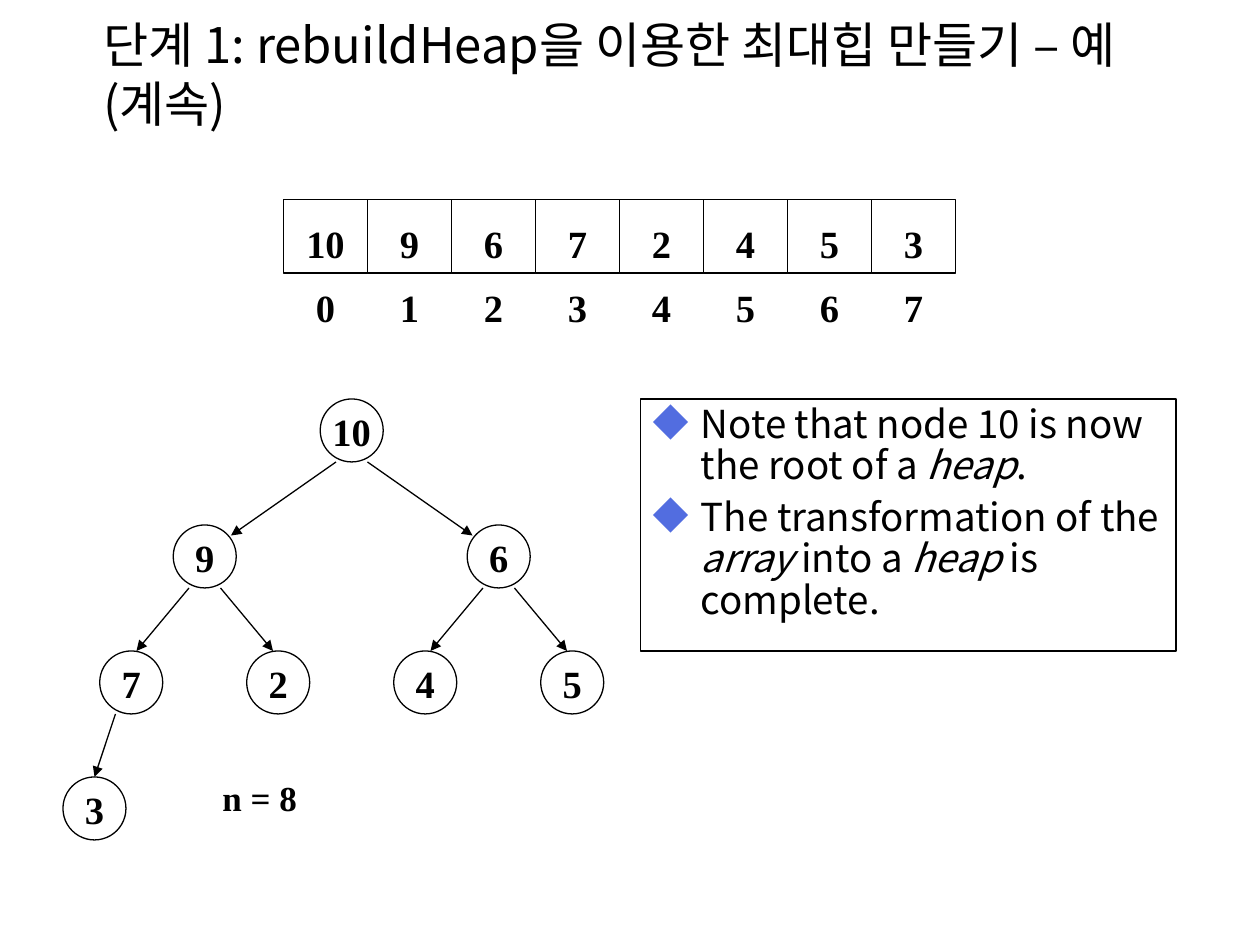
from lxml import etree
from pptx import Presentation
from pptx.dml.color import RGBColor
from pptx.enum.shapes import MSO_CONNECTOR, MSO_SHAPE
from pptx.enum.text import MSO_ANCHOR, PP_ALIGN
from pptx.oxml.ns import qn
from pptx.util import Inches, Pt

RECT, OVAL = MSO_SHAPE.RECTANGLE, MSO_SHAPE.OVAL
LINE = MSO_CONNECTOR.STRAIGHT
TOP, MID = MSO_ANCHOR.TOP, MSO_ANCHOR.MIDDLE
LEFT, MIDDLE = PP_ALIGN.LEFT, PP_ALIGN.CENTER

SANS, SERIF = "Noto Sans CJK KR", "Times New Roman"
INK, BLUE = "000000", "526DE0"
COLS, ROWS = 120, 90  # grid of twelve steps to the inch
HEAP = [10, 9, 6, 7, 2, 4, 5, 3]
NOTES = [
    [("Note that node 10 is now the root of a ", False), ("heap", True), (".", False)],
    [("The transformation of the ", False), ("array", True), (" into a ", False),
     ("heap", True), (" is complete.", False)],
]


def grid(n):
    return Inches(n / 12)


def color(code):
    return RGBColor.from_string(code)


def add_tag(node, name, **attrs):
    return etree.SubElement(node, qn(name), attrs)


def add_bullet(par):
    props = par._p.get_or_add_pPr()
    props.set("marL", str(Inches(0.38)))
    props.set("indent", str(-Inches(0.38)))
    add_tag(add_tag(props, "a:buClr"), "a:srgbClr", val=BLUE)
    add_tag(props, "a:buSzPct", val="120000")
    add_tag(props, "a:buChar", char="◆")


def put_text(shape, pars, size=22, font=SERIF, bold=True, align=MIDDLE,
             anchor=MID, space=1.1, gap=0, bullet=False, pad=(0.1, 0.05, 0.1, 0.05)):
    """Fill a shape with paragraphs, each a list of (words, italic) runs."""
    frame = shape.text_frame
    frame.word_wrap = True
    frame.vertical_anchor = anchor
    (frame.margin_left, frame.margin_top,
     frame.margin_right, frame.margin_bottom) = map(Inches, pad)
    if isinstance(pars, str):
        pars = [[(pars, False)]]
    for i, runs in enumerate(pars):
        par = frame.add_paragraph() if i else frame.paragraphs[0]
        if bullet:
            add_bullet(par)
        par.alignment = align
        par.line_spacing = space
        if i:
            par.space_before = Pt(gap)
        for words, slant in runs:
            run = par.add_run()
            run.text = words
            run.font.size = Pt(size)
            run.font.name = font
            run.font.bold = bold
            run.font.italic = slant
            run.font.color.rgb = color(INK)
            add_tag(run._r.get_or_add_rPr(), "a:ea", typeface=font)


def add_box(slide, box):
    return slide.shapes.add_textbox(*map(grid, box))


def add_frame(slide, kind, box):
    shape = slide.shapes.add_shape(kind, *map(grid, box))
    shape.shadow.inherit = False
    shape.fill.background()
    shape.line.color.rgb = color(INK)
    shape.line.width = Pt(0.75)
    return shape


def add_arrow(slide, *ends):
    arrow = slide.shapes.add_connector(LINE, *map(grid, ends))
    arrow.line.color.rgb = color(INK)
    arrow.line.width = Pt(0.75)
    add_tag(arrow.line._get_or_add_ln(), "a:tailEnd", type="triangle")
    add_tag(arrow._element.spPr, "a:effectLst")


def draw_title(slide, box):
    put_text(add_box(slide, box), "단계 1: rebuildHeap을 이용한 최대힙 만들기 – 예 (계속)",
             size=28, font=SANS, bold=False, align=LEFT, space=1)


def draw_array(slide, box):
    left, top, width, height = box
    step = width / len(HEAP)
    for i, value in enumerate(HEAP):
        x = left + i * step
        cell = add_frame(slide, RECT, (x, top, step, height))
        put_text(cell, str(value), pad=(0, 0.07, 0, 0))
        label = add_box(slide, (x, top + height, step, 6))
        put_text(label, str(i), anchor=TOP)


def draw_tree(slide, box):
    left, top, width, height = box
    size, rise = 6, height / 3.5  # the last row is half a step high
    tips = [(2.5, 1), (0.5, 0), (0, 0)]  # arrow tip, from top of child

    def place(i):
        level = (i + 1).bit_length() - 1
        count = 2 ** level
        x = left + width * (i + 1.5 - count) / count
        return x, top + level * rise, level

    for i, value in enumerate(HEAP):
        x, y, level = place(i)
        node = add_frame(slide, OVAL, (x - size / 2, y, size, size))
        put_text(node, str(value), pad=(0, 0, 0, 0.03))
        if i:
            px, py, _ = place((i - 1) // 2)
            side = -1 if i % 2 else 1
            dx, dy = tips[level - 1]
            add_arrow(slide, px + side * 1.5, py + size, x - side * dx, y + dy)


def draw_count(slide, box):
    put_text(add_box(slide, box), f"n = {len(HEAP)}", size=20, align=LEFT, anchor=TOP)


def draw_notes(slide, box):
    put_text(add_frame(slide, RECT, box), NOTES, font=SANS, bold=False, align=LEFT,
             anchor=TOP, space=0.9, gap=5.5, bullet=True)


def main():
    deck = Presentation()
    deck.slide_width, deck.slide_height = grid(COLS), grid(ROWS)
    slide = deck.slides.add_slide(deck.slide_layouts[6])
    draw_notes(slide, (61, 38, 51, 24))
    draw_tree(slide, (5.5, 38, 56, 42))
    draw_array(slide, (27, 19, 64, 7))
    draw_count(slide, (20, 73, 27.5, 5.5))
    draw_title(slide, (8.67, 0.25, 102, 13.5))
    deck.save("out.pptx")


if __name__ == "__main__":
    main()
